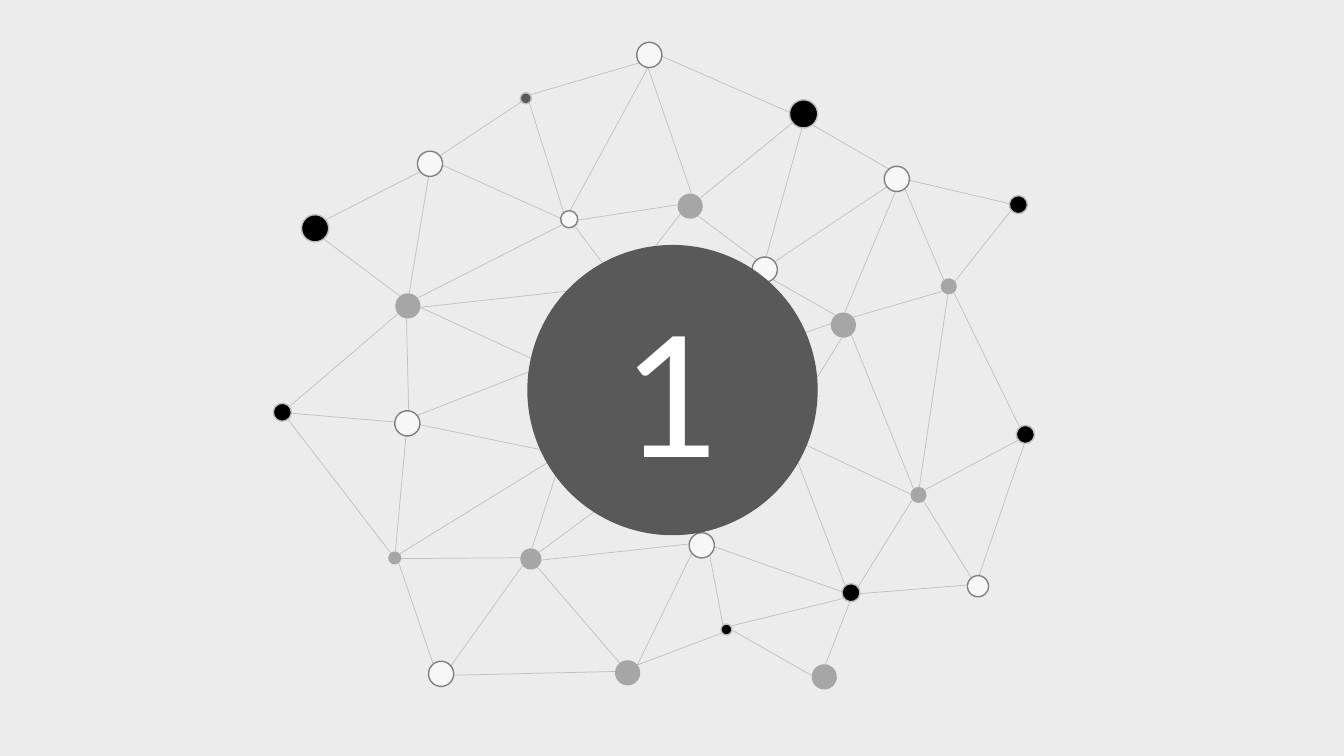
from math import atan2, cos, degrees, radians, sin

from lxml.etree import SubElement
from pptx import Presentation
from pptx.dml.color import RGBColor
from pptx.enum.shapes import MSO_CONNECTOR, MSO_SHAPE
from pptx.enum.text import MSO_ANCHOR, PP_ALIGN
from pptx.oxml.ns import qn
from pptx.util import Inches, Pt

BACKGROUND = RGBColor(0xEC, 0xEC, 0xEC)
WHITE = RGBColor(0xFF, 0xFF, 0xFF)
PALE = RGBColor(0xF7, 0xF7, 0xF7)
SILVER = RGBColor(0xBF, 0xBF, 0xBF)
GREY = RGBColor(0xA6, 0xA6, 0xA6)
MEDIUM = RGBColor(0x80, 0x80, 0x80)
DARK = RGBColor(0x59, 0x59, 0x59)
BLACK = RGBColor(0x00, 0x00, 0x00)

TILT = 6.2
SITE_STEP = 45

deck = Presentation()
deck.slide_width, deck.slide_height = Inches(13.33), Inches(7.5)
CELL = deck.slide_width // 1333
page = deck.slides.add_slide(deck.slide_layouts[6])
page.background.fill.solid()
page.background.fill.fore_color.rgb = BACKGROUND

STYLES = {"W": (PALE, MEDIUM), "G": (GREY, None), "B": (BLACK, SILVER), "D": (DARK, SILVER)}

# column, row and diameter in grid cells
NODES = {
    "W1": (404, 420, 25), "W2": (696, 541, 25), "W3": (644, 54.5, 25),
    "W4": (970, 581.5, 21), "W5": (426.5, 162.5, 25), "W6": (758.5, 267.5, 25),
    "W7": (889.5, 177.5, 25), "W8": (564.5, 217.5, 17), "W9": (437.5, 668.5, 25),
    "G1": (526.5, 554.5, 21), "G2": (391.5, 553.5, 13), "G3": (684.5, 204.5, 25),
    "G4": (911, 491, 16), "G5": (836.5, 322.5, 25), "G6": (404.5, 303.5, 25),
    "G7": (941, 284, 16), "G8": (817.5, 671.5, 25), "G9": (622.5, 667.5, 25),
    "B1": (280, 409, 18), "B2": (1017, 431, 18), "B3": (312.5, 226.5, 27),
    "B4": (797, 113, 28), "B5": (1010, 203, 18), "B6": (844, 588, 18),
    "B7": (720.5, 624.5, 11), "D1": (521.5, 97.5, 11),
}
INNER_ENDS = {
    "H1": (778.5, 436.5, 27), "H2": (622, 483, 18), "H3": (541.5, 360.5, 11),
    "H4": (556.5, 449.5, 17), "H5": (680.5, 364.5, 25), "H6": (616, 285, 18),
}
LINKS = {
    "B1": "G2 W1 G6", "B2": "W4 G4 G7", "B3": "G6 W5", "B4": "W3 W6 W7 G3",
    "B5": "W7 G7", "B6": "H1 G4 W4 G8 W2 B7", "B7": "W2 G8 G9",
    "D1": "W3 W5 W8", "G1": "H2 H4 G2 W2 G9 W9", "G2": "W1 W9 H4",
    "G3": "W3 W6 W8 H6", "G4": "G5 G7 W4 H1", "G5": "W6 W7 G7 H1 H5",
    "G6": "W1 W5 W8 H3 H6", "G7": "W7", "G9": "W2 W9",
    "W1": "H3 H4", "W5": "W8", "W6": "W7", "W8": "W3 H6",
}


def rim_point(node, other):
    column, row, size = node
    heading = degrees(atan2(other[1] - row, other[0] - column))
    angle = radians(round((heading - TILT) / SITE_STEP) * SITE_STEP + TILT)
    return (round((column + size / 2 * cos(angle)) * CELL),
            round((row + size / 2 * sin(angle)) * CELL))


def add_circle(column, row, size, fill, outline):
    circle = page.shapes.add_shape(
        MSO_SHAPE.OVAL, round((column - size / 2) * CELL), round((row - size / 2) * CELL),
        size * CELL, size * CELL)
    circle.shadow.inherit = False
    circle.fill.solid()
    circle.fill.fore_color.rgb = fill
    if outline is None:
        circle.line.fill.background()
    else:
        circle.line.color.rgb = outline
        circle.line.width = Pt(1)
    return circle


ends = {**NODES, **INNER_ENDS}
for start, targets in LINKS.items():
    for target in targets.split():
        link = page.shapes.add_connector(
            MSO_CONNECTOR.STRAIGHT,
            *rim_point(ends[start], ends[target]), *rim_point(ends[target], ends[start]))
        link.line.color.rgb = SILVER
        link.line.width = Pt(0.5)
        SubElement(link._element.spPr, qn("a:effectLst"))

for name, place in NODES.items():
    dot = add_circle(*place, *STYLES[name[0]])
    dot.rotation = 180 + TILT

number_disc = add_circle(667, 387, 288, DARK, None)
frame = number_disc.text_frame
frame.text = "1"
frame.vertical_anchor = MSO_ANCHOR.MIDDLE
paragraph = frame.paragraphs[0]
paragraph.alignment = PP_ALIGN.CENTER
span = paragraph.runs[0]
span.font.name = "Lato"
span.font.size = Pt(120)
span.font.color.rgb = WHITE

deck.save("out.pptx")
